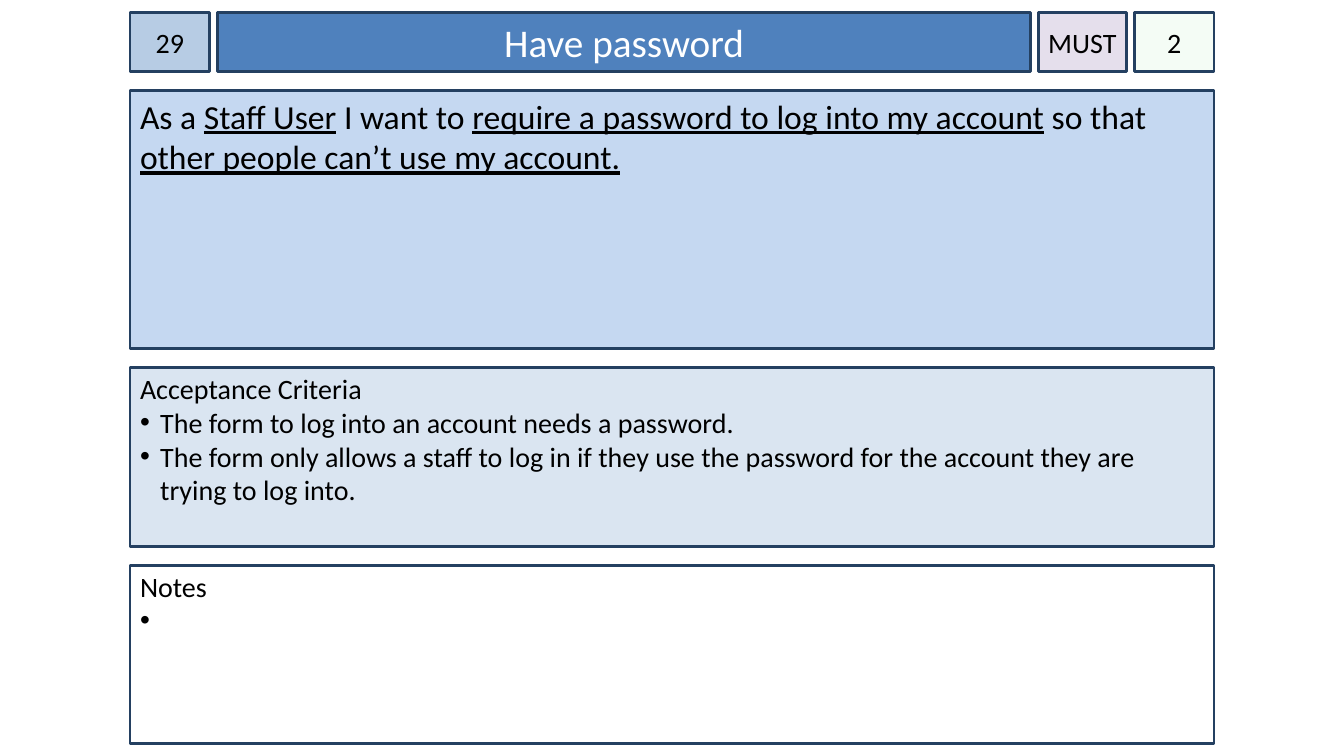
"""Builds a user story card: a header row above story, criteria and notes panels."""
from lxml import etree
from pptx import Presentation
from pptx.dml.color import RGBColor
from pptx.enum import shapes, text
from pptx.oxml.ns import qn
from pptx.util import Inches, Pt

THEME = {
    "font": "Calibri", "ink": "000000", "white": "FFFFFF", "border": "244061",
    "id": "B7CCE4", "title": "4F81BD", "priority": "E5DFEC", "points": "CCF0CD",
    "story": "C5D8F1", "criteria": "DAE5F1", "notes": "FFFFFF",
    "body": 20, "story_size": 24, "title_size": 28, "border_width": 2, "points_alpha": 20,
}

HEADER = [
    ("id", "29", 0.79),
    ("title", "Have password", None),
    ("priority", "MUST", 0.87),
    ("points", "2", 0.79),
]
STORY = [
    ("As a ", False), ("Staff User", True), (" I want to ", False),
    ("require a password to log into my account", True), (" so that ", False),
    ("other people can’t use my account.", True),
]
LISTS = [
    ("criteria", "Acceptance Criteria", [
        "The form to log into an account needs a password.",
        "The form only allows a staff to log in if they use the password "
        "for the account they are trying to log into.",
    ]),
    ("notes", "Notes", [" "]),
]

LEFT, TOP, WIDTH = 1.29, 0.12, 10.75
HEADER_H, STORY_H, LIST_H = 0.59, 2.56, 1.77
COL_GAP, ROW_GAP, INDENT = 0.08, 0.19, 0.2


def add_box(s, fill, x, y, w, h, side=0.1, top=0.05, anchor=text.MSO_ANCHOR.TOP):
    sp = s.shapes.add_shape(shapes.MSO_SHAPE.RECTANGLE, *map(Inches, (x, y, w, h)))
    sp.shadow.inherit = False
    sp.fill.solid()
    sp.fill.fore_color.rgb = RGBColor.from_string(THEME[fill])
    sp.line.color.rgb = RGBColor.from_string(THEME["border"])
    sp.line.width = Pt(THEME["border_width"])
    tf = sp.text_frame
    layout = {"word_wrap": True, "vertical_anchor": anchor,
              "margin_left": Inches(side), "margin_right": Inches(side),
              "margin_top": Inches(top), "margin_bottom": Inches(0.05)}
    for name, value in layout.items():
        setattr(tf, name, value)
    return sp


def add_run(p, words, size="body", color="ink", underline=False):
    r = p.add_run()
    r.text = words
    style = {"name": THEME["font"], "size": Pt(THEME[size]), "underline": underline}
    for name, value in style.items():
        setattr(r.font, name, value)
    r.font.color.rgb = RGBColor.from_string(THEME[color])


def add_bullet(p):
    pPr = p._p.get_or_add_pPr()
    pPr.set("marL", str(Inches(INDENT)))
    pPr.set("indent", str(-Inches(INDENT)))
    color = etree.SubElement(pPr, qn("a:buClr"))
    etree.SubElement(color, qn("a:srgbClr"), val=THEME["ink"])
    etree.SubElement(pPr, qn("a:buFont"), typeface="Arial")
    etree.SubElement(pPr, qn("a:buChar"), char="•")


def set_opacity(sp, percent):
    color = sp._element.spPr.find(qn("a:solidFill")).find(qn("a:srgbClr"))
    etree.SubElement(color, qn("a:alpha"), val=str(percent * 1000))


def add_header(s):
    fixed = sum(w for _, _, w in HEADER if w)
    title_w = WIDTH - fixed - COL_GAP * (len(HEADER) - 1)
    x = LEFT
    for name, words, w in HEADER:
        w = w or title_w
        is_title = name == "title"
        sp = add_box(s, name, x, TOP, w, HEADER_H, side=0.1 if is_title else 0,
                     anchor=text.MSO_ANCHOR.MIDDLE)
        if name == "points":
            set_opacity(sp, THEME["points_alpha"])
        p = sp.text_frame.paragraphs[0]
        p.alignment = text.PP_ALIGN.CENTER
        add_run(p, words, "title_size" if is_title else "body", "white" if is_title else "ink")
        x += w + COL_GAP


def add_panels(s):
    y = TOP + HEADER_H + ROW_GAP
    p = add_box(s, "story", LEFT, y, WIDTH, STORY_H).text_frame.paragraphs[0]
    p.alignment = text.PP_ALIGN.LEFT
    for words, underline in STORY:
        add_run(p, words, "story_size", underline=underline)
    y += STORY_H + ROW_GAP
    for name, heading, items in LISTS:
        tf = add_box(s, name, LEFT, y, WIDTH, LIST_H, top=0.04).text_frame
        for i, words in enumerate([heading] + items):
            p = tf.add_paragraph() if i else tf.paragraphs[0]
            p.alignment = text.PP_ALIGN.LEFT
            if i:
                add_bullet(p)
            add_run(p, words)
        y += LIST_H + ROW_GAP


def main():
    prs = Presentation()
    prs.slide_width, prs.slide_height = Inches(13.33), Inches(7.5)
    s = prs.slides.add_slide(prs.slide_layouts[6])
    add_header(s)
    add_panels(s)
    prs.save("out.pptx")


if __name__ == "__main__":
    main()
